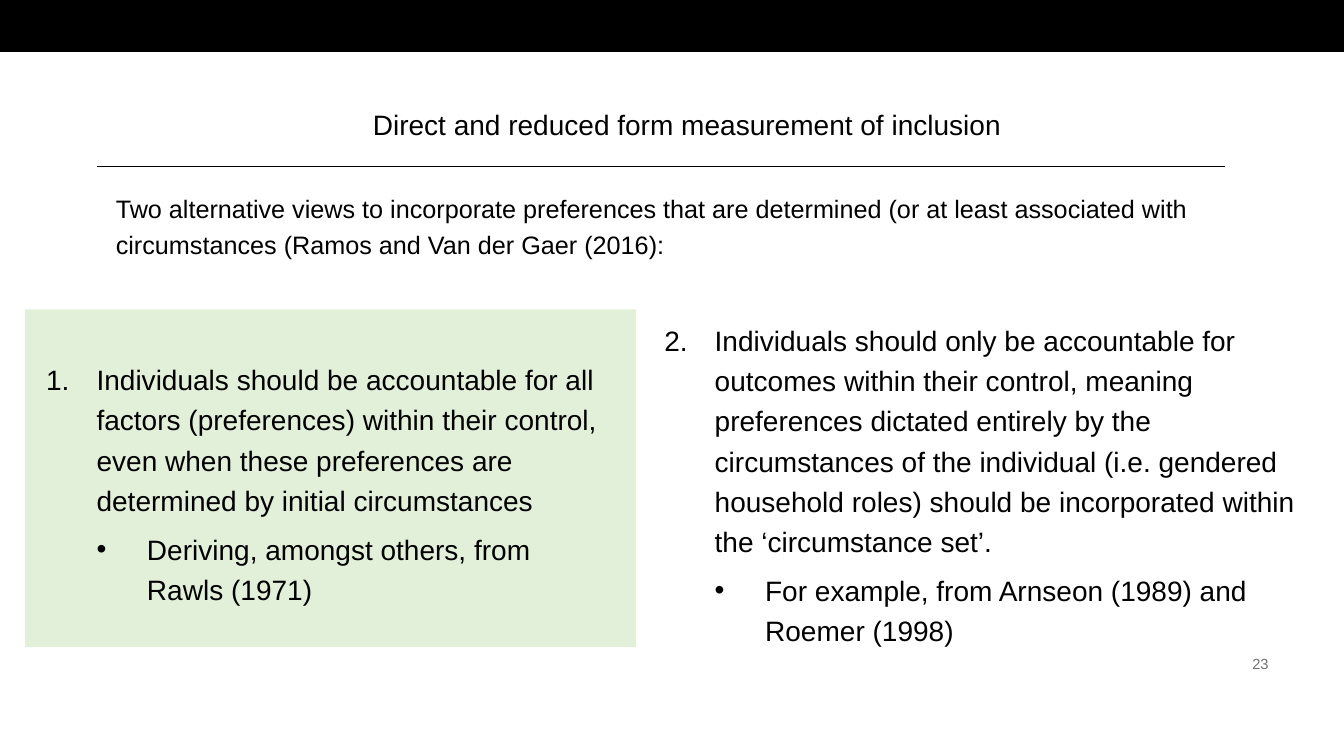
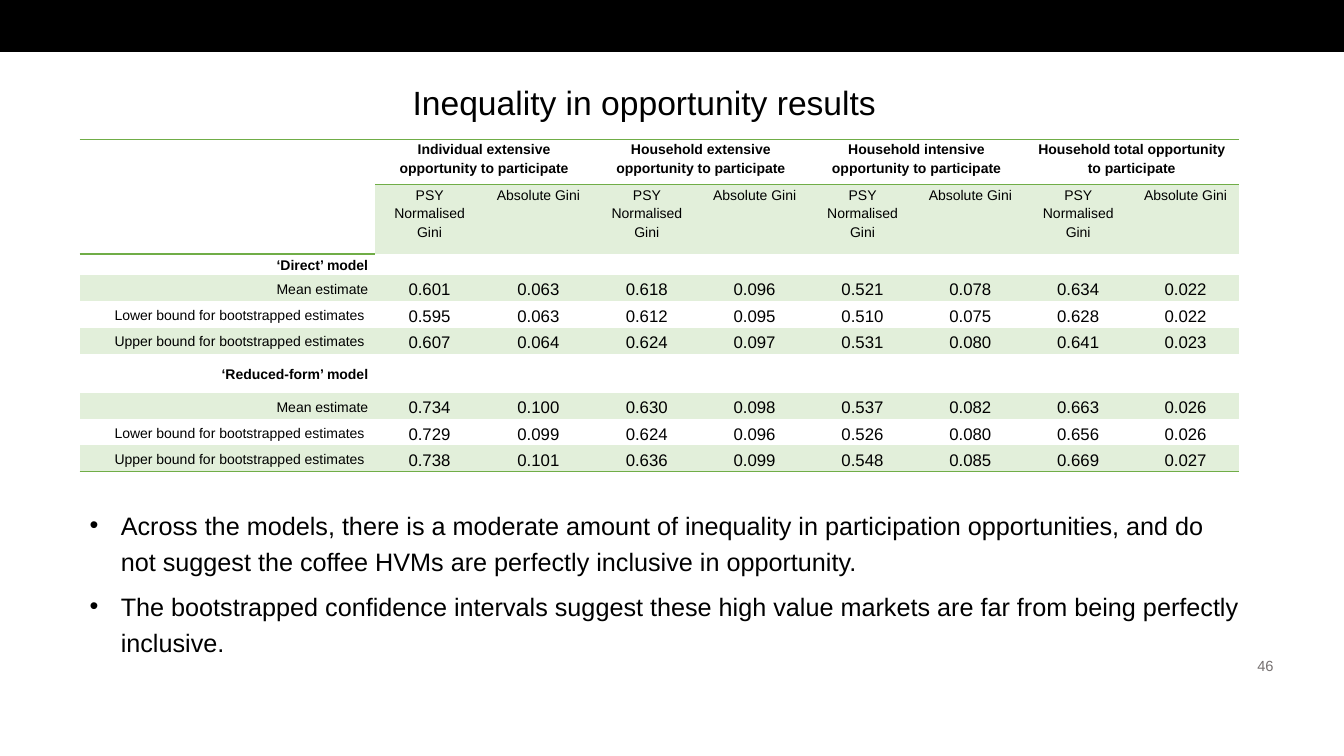
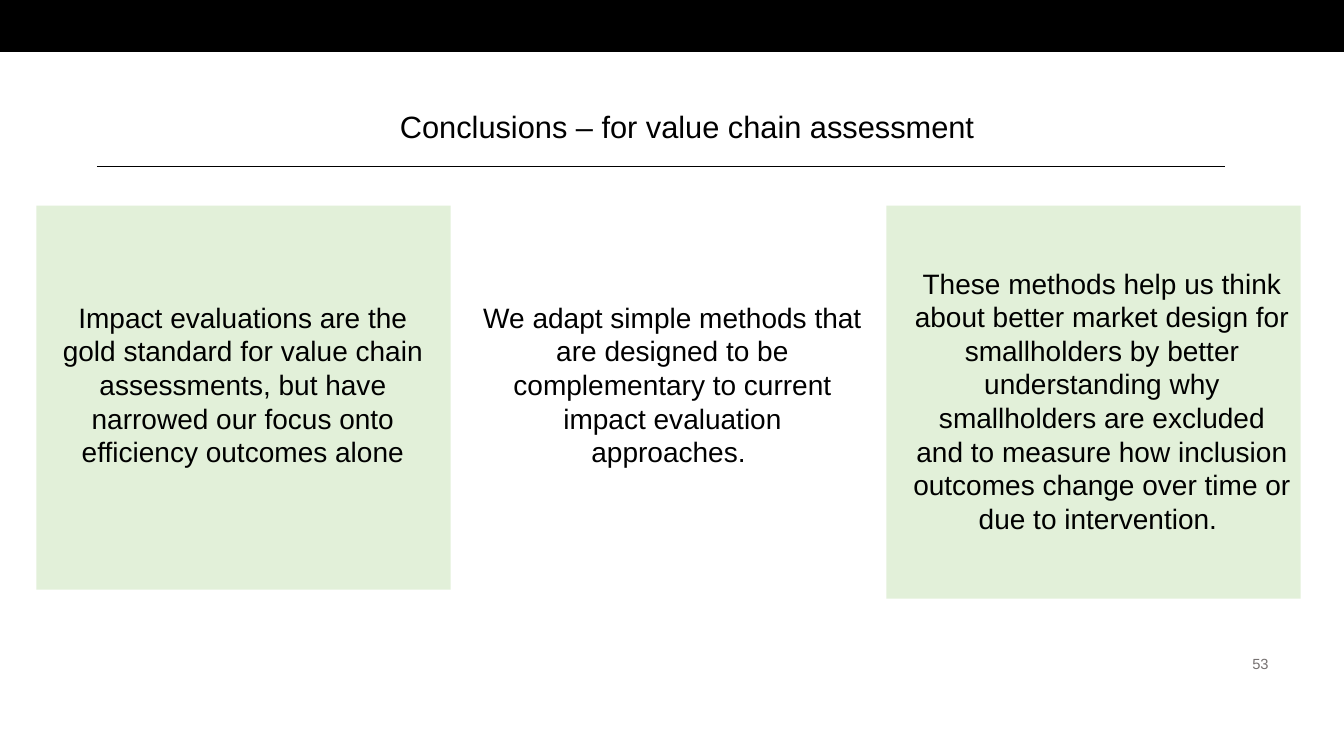
"""Build three slides on measuring inclusion in value chains."""
from lxml import etree
from pptx import Presentation
from pptx import util as u
from pptx.dml.color import RGBColor
from pptx.enum import shapes, text
from pptx.oxml.ns import qn

BLACK, GREY, GREEN = "000000", "767171", "70AD47"
PANEL, STRIPE = "E2F0D9", "E2EFDA"
FONT = "Arial"
NO_STYLE = "{2D5ABB26-0587-4C30-8999-92F81FD0307C}"
CENTER, LEFT, RIGHT = text.PP_ALIGN.CENTER, text.PP_ALIGN.LEFT, text.PP_ALIGN.RIGHT
TOP, MIDDLE = text.MSO_ANCHOR.TOP, text.MSO_ANCHOR.MIDDLE
WIDTH = 13.33


def color(value):
    """Turn a hex string into a colour."""
    return RGBColor.from_string(value)


def inches(values):
    """Turn numbers into lengths."""
    return [u.Inches(value) for value in values]


class Deck:
    """Hold the style and the current slide."""

    def __init__(self):
        """Start a widescreen presentation."""
        self.presentation = Presentation()
        self.presentation.slide_width, self.presentation.slide_height = inches((WIDTH, 7.5))
        self.layout = self.presentation.slide_layouts[5]
        self.slide = None

    def new_slide(self, title, box, size, number, number_at, ruled=True):
        """Add a slide with its title, rule and page number."""
        first = self.slide is None
        self.slide = self.presentation.slides.add_slide(self.layout)
        if first:
            self.add_band()
        placeholder = self.slide.shapes.title
        placeholder.left, placeholder.top, placeholder.width, placeholder.height = inches(box)
        self.fill_text(placeholder.text_frame, [title], size, CENTER)
        if ruled:
            self.rule(0.96, 12.15, 1.65)
        self.text_box((*number_at, 1.64, 0.27), [str(number)], 10.5, RIGHT, MIDDLE, GREY)

    def add_band(self):
        """Draw the black top band once, on the shared layout."""
        band = self.rectangle((0, 0, WIDTH, 0.51), BLACK)
        band.line.color.rgb = color(BLACK)
        band.line.width = u.Pt(1)
        self.layout.shapes.element.insert(2, band.element)

    def rectangle(self, box, fill):
        """Add a filled rectangle without outline."""
        shape = self.slide.shapes.add_shape(shapes.MSO_SHAPE.RECTANGLE, *inches(box))
        shape.shadow.inherit = False
        shape.fill.solid()
        shape.fill.fore_color.rgb = color(fill)
        shape.line.fill.background()
        return shape

    def rule(self, left, right, top):
        """Add a thin horizontal line."""
        line = self.slide.shapes.add_connector(
            shapes.MSO_CONNECTOR.STRAIGHT, *inches((left, top, right, top)))
        line.line.color.rgb = color(BLACK)
        line.line.width = u.Pt(0.5)
        etree.SubElement(line.element.spPr, qn("a:effectLst"))

    def style(self, paragraph, size, align=LEFT, ink=BLACK, bold=False, spaced=False):
        """Format a paragraph and its runs."""
        paragraph.alignment = align
        if spaced:
            paragraph.line_spacing = 1.2
            paragraph.space_after = u.Pt(6)
        for run in paragraph.runs:
            run.font.name = FONT
            run.font.size = u.Pt(size)
            run.font.bold = bold
            run.font.color.rgb = color(ink)

    def fill_text(self, frame, lines, size, align=LEFT, anchor=TOP, ink=BLACK, spaced=False):
        """Fill a text frame, one paragraph per line."""
        frame.word_wrap = True
        frame.auto_size = text.MSO_AUTO_SIZE.NONE
        frame.vertical_anchor = anchor
        frame.text = "\n".join(lines)
        for paragraph in frame.paragraphs:
            self.style(paragraph, size, align, ink, spaced=spaced)

    def text_box(self, box, lines, size, align=LEFT, anchor=TOP, ink=BLACK, spaced=False):
        """Add a wrapped text box."""
        shape = self.slide.shapes.add_textbox(*inches(box))
        self.fill_text(shape.text_frame, lines, size, align, anchor, ink, spaced)
        return shape

    def bullet(self, paragraph, indent, hang, number=None):
        """Give a paragraph a hanging bullet or number."""
        properties = paragraph._p.get_or_add_pPr()
        properties.set("marL", str(u.Inches(indent)))
        properties.set("indent", str(-u.Inches(hang)))
        etree.SubElement(properties, qn("a:buFont"), typeface=FONT)
        if number:
            etree.SubElement(properties, qn("a:buAutoNum"),
                             type="arabicPeriod", startAt=str(number))
        else:
            etree.SubElement(properties, qn("a:buChar"), char="•")

    def numbered_view(self, box, number, view, source):
        """Add a numbered view with its source as a sub-bullet."""
        shape = self.text_box(box, [view, source], 20, spaced=True)
        main, detail = shape.text_frame.paragraphs
        self.bullet(main, 0.5, 0.5, number)
        detail.level = 1
        self.bullet(detail, 1, 0.5)
        return shape

    def bullets(self, box, lines, size):
        """Add a bulleted list."""
        shape = self.text_box(box, lines, size, spaced=True)
        for paragraph in shape.text_frame.paragraphs:
            self.bullet(paragraph, 0.31, 0.31)

    def group(self, *members):
        """Group shapes on the current slide."""
        self.slide.shapes.add_group_shape(members)

    def table(self, box, widths, heights):
        """Add a plain table with the given columns and rows."""
        table = self.slide.shapes.add_table(
            len(heights), len(widths), *inches(box)).table
        table.first_row = table.horz_banding = False
        table._tbl.tblPr.find(qn("a:tableStyleId")).text = NO_STYLE
        for column, width in zip(table.columns, inches(widths)):
            column.width = width
        for row, height in zip(table.rows, inches(heights)):
            row.height = height
        return table

    def cell(self, cell, content, size=10, align=CENTER, bold=False,
             anchor=MIDDLE, striped=False, borders=()):
        """Fill and format a table cell."""
        cell.margin_left = cell.margin_right = u.Inches(0.07)
        cell.margin_top = cell.margin_bottom = 0
        cell.vertical_anchor = anchor
        cell.text = content
        paragraph = cell.text_frame.paragraphs[0]
        self.style(paragraph, size, align, bold=bold, spaced=True)
        if not content:
            paragraph._p.get_or_add_endParaRPr().set("sz", str(size * 100))
        if striped:
            cell.fill.solid()
            cell.fill.fore_color.rgb = color(STRIPE)
        else:
            cell.fill.background()
        for index, side in enumerate(borders):
            line = etree.Element(qn(f"a:ln{side}"), w=str(u.Pt(1)))
            fill = etree.SubElement(line, qn("a:solidFill"))
            etree.SubElement(fill, qn("a:srgbClr"), val=GREEN)
            cell._tc.get_or_add_tcPr().insert(index, line)


def views_slide(deck):
    """Build the slide on two views of preferences."""
    deck.new_slide("Direct and reduced form measurement of inclusion",
                   (1.6, 1.02, 10.43, 0.44), 20, 23, (11.04, 6.45))
    panel = deck.rectangle((0.25, 3.07, 6.06, 3.35), PANEL)
    view = deck.numbered_view(
        (0.36, 3.48, 5.83, 3.03), 1,
        "Individuals should be accountable for all factors (preferences) within their "
        "control, even when these preferences are determined by initial circumstances",
        "Deriving, amongst others, from Rawls (1971)")
    deck.group(panel, view)
    deck.numbered_view(
        (6.49, 3.09, 6.49, 3.38), 2,
        "Individuals should only be accountable for outcomes within their control, meaning "
        "preferences dictated entirely by the circumstances of the individual (i.e. gendered "
        "household roles) should be incorporated within the ‘circumstance set’.",
        "For example, from Arnseon (1989) and Roemer (1998)")
    deck.text_box(
        (1.05, 1.81, 10.98, 0.79),
        ["Two alternative views to incorporate preferences that are determined (or at least "
         "associated with circumstances (Ramos and Van der Gaer (2016):"], 18, spaced=True)


def results_slide(deck):
    """Build the slide with the table of results."""
    deck.new_slide("Inequality in opportunity results", (0.35, 0.76, 12.08, 0.5), 24,
                   46, (11.09, 6.47), ruled=False)
    outcomes = ("Individual extensive", "Household extensive",
                "Household intensive", "Household total")
    estimates = ("Mean estimate", "Lower bound for bootstrapped estimates ",
                 "Upper bound for bootstrapped estimates ")
    models = (
        ("‘Direct’ model", (
            "0.601 0.063 0.618 0.096 0.521 0.078 0.634 0.022",
            "0.595 0.063 0.612 0.095 0.510 0.075 0.628 0.022",
            "0.607 0.064 0.624 0.097 0.531 0.080 0.641 0.023")),
        ("‘Reduced-form’ model", (
            "0.734 0.100 0.630 0.098 0.537 0.082 0.663 0.026",
            "0.729 0.099 0.624 0.096 0.526 0.080 0.656 0.026",
            "0.738 0.101 0.636 0.099 0.548 0.085 0.669 0.027")))
    heights = [0.45, 0.69, 0.21] + [0.26] * 3 + [0.39] + [0.26] * 3
    table = deck.table((0.79, 1.38, 11.5, 3.29),
                       [2.93, 1.08, 1.08] + [1.07] * 5 + [1.06], heights)
    deck.cell(table.cell(0, 0), "", borders="TB")
    deck.cell(table.cell(1, 0), "", borders="B")
    for index, outcome in enumerate(outcomes):
        column = 1 + 2 * index
        deck.cell(table.cell(0, column), f"{outcome} opportunity to participate",
                  bold=True, anchor=TOP, borders="TB")
        deck.cell(table.cell(0, column + 1), "", borders="TB")
        for offset, measure in enumerate(("PSY Normalised Gini", "Absolute Gini")):
            deck.cell(table.cell(1, column + offset), measure, anchor=TOP, striped=True)
        table.cell(0, column).merge(table.cell(0, column + 1))
    table.cell(0, 0).merge(table.cell(1, 0))
    for index, (model, series) in enumerate(models):
        top = 2 + 4 * index
        deck.cell(table.cell(top, 0), model, align=RIGHT, bold=True)
        for column in range(1, 9):
            deck.cell(table.cell(top, column), "")
        table.cell(top, 1).merge(table.cell(top, 8))
        for offset, (label, values) in enumerate(zip(estimates, series)):
            row = top + 1 + offset
            look = {"striped": offset != 1, "borders": "B" if row == len(heights) - 1 else ""}
            deck.cell(table.cell(row, 0), label, align=RIGHT, **look)
            for column, value in enumerate(values.split(), 1):
                deck.cell(table.cell(row, column), value, size=12, **look)
    deck.bullets((0.79, 4.95, 11.63, 1.61), [
        "Across the models, there is a moderate amount of inequality in participation "
        "opportunities, and do not suggest the coffee HVMs are perfectly inclusive in "
        "opportunity.",
        "The bootstrapped confidence intervals suggest these high value markets are far "
        "from being perfectly inclusive."], 18)


def conclusions_slide(deck):
    """Build the slide with three conclusions."""
    deck.new_slide("Conclusions – for value chain assessment",
                   (1.6, 1.02, 10.43, 0.47), 22, 53, (11.04, 6.45))
    conclusions = (
        ((0.36, 2.04, 4.11, 3.81), (0.43, 2.93, 3.96, 2.68),
         "Impact evaluations are the gold standard for value chain assessments, but have "
         "narrowed our focus onto efficiency outcomes alone"),
        (None, (4.69, 2.93, 3.96, 2.46),
         "We adapt simple methods that are designed to be complementary to current impact "
         "evaluation approaches. "),
        ((8.79, 2.04, 4.11, 3.9), (8.95, 2.59, 3.96, 3.13),
         "These methods help us think about better market design for smallholders by better "
         "understanding why smallholders are excluded and to measure how inclusion outcomes "
         "change over time or due to intervention. "))
    for panel_box, text_box, conclusion in conclusions:
        panel = deck.rectangle(panel_box, PANEL) if panel_box else None
        label = deck.text_box(text_box, [conclusion], 20, CENTER)
        if panel:
            deck.group(panel, label)


def main():
    """Build and save the presentation."""
    deck = Deck()
    views_slide(deck)
    results_slide(deck)
    conclusions_slide(deck)
    deck.presentation.save("out.pptx")


if __name__ == "__main__":
    main()
